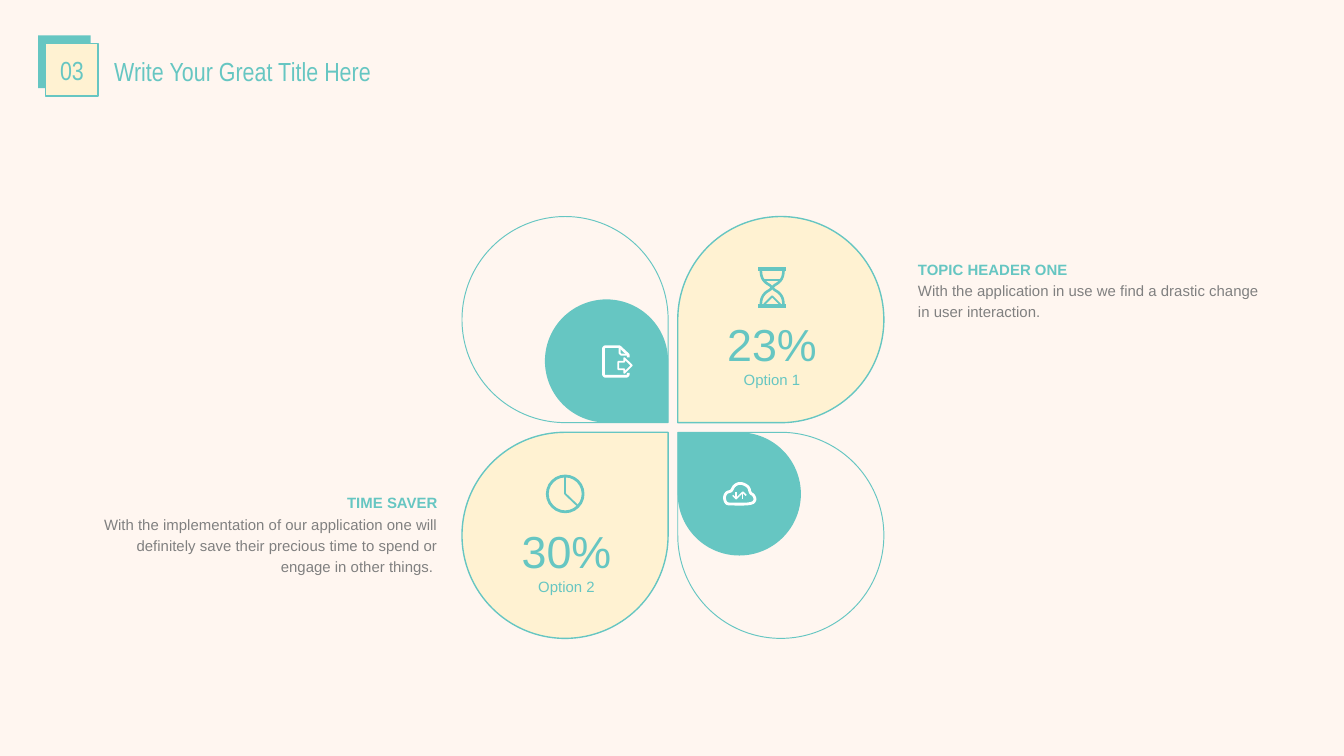
from pptx import Presentation
from pptx.dml.color import RGBColor
from pptx.enum.shapes import MSO_SHAPE
from pptx.enum.text import MSO_ANCHOR, MSO_AUTO_SIZE, PP_ALIGN
from pptx.util import Pt

TEAL, CREAM, PAPER, GREY, WHITE = "66C6C2", "FFF2D2", "FFF6F0", "808080", "FFFFFF"
LEFT, CENTER, RIGHT = PP_ALIGN.LEFT, PP_ALIGN.CENTER, PP_ALIGN.RIGHT

# Content
TITLE, NUMBER = "Write Your Great Title Here", "03"
OPTIONS = [  # left, top, value, label
    (382.3, 166.3, "23%", "Option 1"),
    (272.2, 277.2, "30%", "Option 2"),
]
TOPICS = [  # left, top, height, alignment, header, body
    (491.8, 137.5, 34.6, LEFT, "TOPIC HEADER ONE",
     "With the application in use we find a drastic change in user interaction."),
    (45.1, 262.6, 46.8, RIGHT, "TIME SAVER",
     "With the implementation of our application one will definitely save "
     "their precious time to spend or engage in other things. "),
]

# Petals meet around one centre: column, row, size, rotation, fill, line width
CENTRE, HALF_GAP, BIG, SMALL = (360.5, 229), 2.6, 110.4, 66
PETALS = [
    (-1, 1, BIG, 0, CREAM, 0.75),
    (1, 1, SMALL, 270, TEAL, None),
    (1, -1, BIG, 180, CREAM, 0.75),
    (-1, -1, BIG, 90, None, 0.5),
    (-1, -1, SMALL, 90, TEAL, None),
    (1, 1, BIG, 270, None, 0.5),
]

# Icons: strokes of (points, width, closed, rounded) in hundredths of an inch
UNIT = 0.72
GLASS = [(3, 2), (3.5, 7), (6, 11), (11, 14), (11, 16), (6, 19), (3.5, 23), (3, 28)]
DOWN_ARROW = [[(9.5, 7), (9.5, 12)], [(7, 9.5), (9.5, 12), (12, 9.5)]]
ICONS = [  # left, top, colour, strokes
    (405.4, 143.3, TEAL, [
        ([(1, 1.3), (22, 1.3)], 1.8, False, False),
        ([(1, 28.7), (22, 28.7)], 1.8, False, False),
        (GLASS, 1.4, False, True),
        ([(23 - x, y) for x, y in GLASS], 1.4, False, True),
        ([(5, 9.3), (18, 9.3)], 1, False, False),
        ([(5.5, 27.5), (11.5, 21.5), (17.5, 27.5)], 1, False, False),
    ]),
    (322.6, 185, WHITE, [
        ([(19.5, 9), (19.5, 7), (13, 1), (2, 1), (1, 2), (1, 22), (2, 23),
          (18.5, 23), (19.5, 22), (19.5, 20.5)], 1.4, False, False),
        ([(13, 1), (13, 6), (14, 7), (19.5, 7)], 1, False, False),
        ([(12, 12.2), (16.5, 12.2), (16.5, 9.5), (22, 15), (16.5, 20.5),
          (16.5, 17.8), (12, 17.8)], 1, True, False),
    ]),
    (387.5, 258.6, WHITE, [
        ([(5, 16), (21, 16), (24, 13), (22.5, 9), (20, 8), (19, 3), (13, 0),
          (8, 2), (6, 6.5), (2.5, 7), (0.5, 11), (2, 15.5)], 1.5, True, True),
        *[(pts, 0.8, False, False) for pts in DOWN_ARROW],
        *[([(x + 5, 19 - y) for x, y in pts], 0.8, False, False) for pts in DOWN_ARROW],
    ]),
    (292.5, 254.3, TEAL, [
        ([(14.2, 1), (14.2, 14.2), (24, 23.5)], 1, False, False),
    ]),
]
CLOCK_RING = (293.2, 255, 19.2, 19.2)


def colour(hex_string):
    return RGBColor.from_string(hex_string)


def paint(sp, fill=None, line=None, width=0.75):
    sp.shadow.inherit = False
    for part, value in ((sp.fill, fill), (sp.line.fill, line)):
        if value:
            part.solid()
            part.fore_color.rgb = colour(value)
        else:
            part.background()
    if line:
        sp.line.width = Pt(width)


def add_shape(s, kind, box, **style):
    sp = s.shapes.add_shape(kind, *map(Pt, box))
    paint(sp, **style)
    return sp


def write(sp, paragraphs, align=LEFT, inset=(7.2, 3.6), wrap=False, spacing=None):
    """Fill a frame with (text, size, colour, font name, bold) paragraphs."""
    tf = sp.text_frame
    frame = dict(auto_size=MSO_AUTO_SIZE.NONE, word_wrap=wrap,
                 vertical_anchor=MSO_ANCHOR.TOP,
                 margin_left=Pt(inset[0]), margin_right=Pt(inset[0]),
                 margin_top=Pt(inset[1]), margin_bottom=Pt(inset[1]))
    for name, value in frame.items():
        setattr(tf, name, value)
    for i, (text, size, rgb, font, bold) in enumerate(paragraphs):
        p = tf.add_paragraph() if i else tf.paragraphs[0]
        p.alignment, p.line_spacing = align, spacing
        r = p.add_run()
        r.text = text
        for name, value in dict(size=Pt(size), name=font, bold=bold).items():
            setattr(r.font, name, value)
        r.font.color.rgb = colour(rgb)


def rounded(points, closed):
    """Cut the corners twice; an open stroke keeps its ends."""
    for _ in range(2):
        pairs = list(zip(points, points[1:] + points[:1] if closed else points[1:]))
        cut = [(a[0] + (b[0] - a[0]) * t, a[1] + (b[1] - a[1]) * t)
               for a, b in pairs for t in (0.25, 0.75)]
        points = cut if closed else [points[0], *cut, points[-1]]
    return points


def add_stroke(s, left, top, rgb, points, width, closed, soft):
    if soft:
        points = rounded(points, closed)
    pts = [(Pt(left + x * UNIT), Pt(top + y * UNIT)) for x, y in points]
    builder = s.shapes.build_freeform(*pts[0])
    builder.add_line_segments(pts[1:], close=closed)
    paint(builder.convert_to_shape(), line=rgb, width=width)


def main():
    prs = Presentation()
    prs.slide_width, prs.slide_height = Pt(720), Pt(405)
    s = prs.slides.add_slide(prs.slide_layouts[5])
    s.background.fill.solid()
    s.background.fill.fore_color.rgb = colour(PAPER)

    # Title and number badge
    title = s.shapes.title
    title.left, title.top, title.width, title.height = map(Pt, (54, 26, 166.3, 24))
    write(title, [(TITLE, 14, TEAL, "Arial Narrow", False)])
    add_shape(s, MSO_SHAPE.RECTANGLE, (20.4, 19, 28.2, 28.2), fill=TEAL)
    add_shape(s, MSO_SHAPE.RECTANGLE, (24.4, 23.2, 28.2, 28.2), fill=CREAM, line=TEAL)
    number = s.shapes.add_textbox(*map(Pt, (23.8, 25.4, 29.5, 24)))
    write(number, [(NUMBER, 14, TEAL, "Arial Narrow", False)], CENTER)

    # Petals
    for col, row, size, turn, fill, width in PETALS:
        left, top = (c + side * HALF_GAP - (size if side < 0 else 0)
                     for c, side in zip(CENTRE, (col, row)))
        petal = add_shape(s, MSO_SHAPE.TEAR, (left, top, size, size), fill=fill,
                          line=TEAL if width else None, width=width)
        petal.rotation = turn

    # Icons
    add_shape(s, MSO_SHAPE.OVAL, CLOCK_RING, line=TEAL, width=1.5)
    for left, top, rgb, strokes in ICONS:
        for stroke in strokes:
            add_stroke(s, left, top, rgb, *stroke)

    # Option values
    for left, top, value, label in OPTIONS:
        box = s.shapes.add_textbox(*map(Pt, (left, top, 62.6, 45.4)))
        write(box, [(value, 24, TEAL, "Arial", False), (label, 8, TEAL, "Arial", False)],
              CENTER)

    # Topic texts
    for left, top, height, align, header, body in TOPICS:
        box = s.shapes.add_textbox(*map(Pt, (left, top, 189.4, height)))
        write(box, [(header, 8, TEAL, "Arial", True), (body, 8, GREY, "Arial", False)],
              align, inset=(0, 0), wrap=True, spacing=1.2)

    prs.save("out.pptx")


if __name__ == "__main__":
    main()
